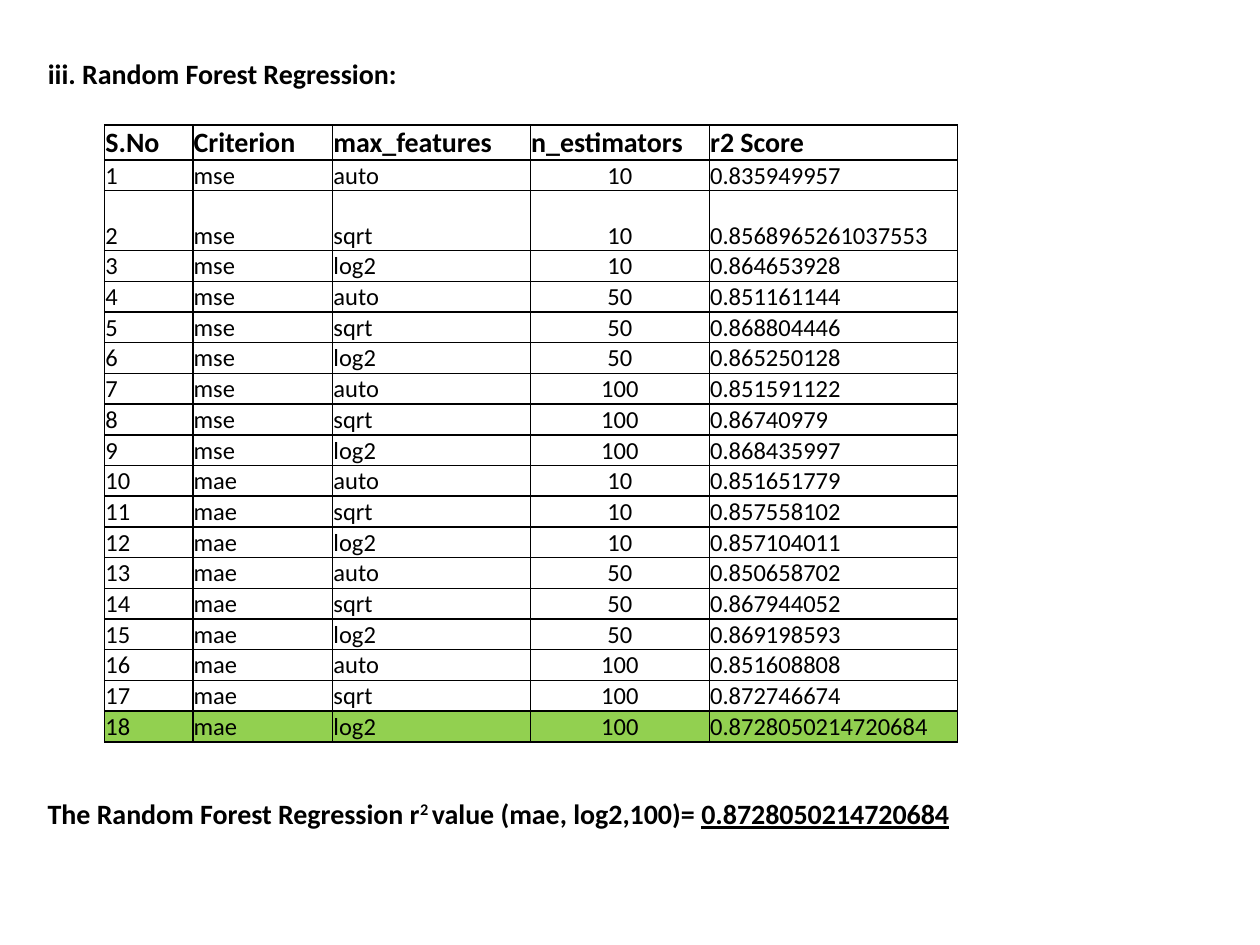
from itertools import product

from lxml.etree import SubElement
from pptx import Presentation
from pptx.dml.color import RGBColor
from pptx.enum.text import MSO_ANCHOR, MSO_AUTO_SIZE, PP_ALIGN
from pptx.oxml.ns import qn
from pptx.util import Inches, Pt

WIDTH, HEIGHT = Inches(10), Inches(7.5)
COLORS = {"ink": "000000", "best": "92D050"}
FONT = "Calibri"
HEADERS = ["S.No", "Criterion", "max_features", "n_estimators", "r2 Score"]
COLUMN_SHARES = [7, 11.1, 15.7, 14.2, 19.7]
HEADER_SHARE, ROW_SHARE, TALL_SHARE = 3.65, 3.25, 6.35
TALL_ROW = 2
CENTERED_COLUMN = HEADERS.index("n_estimators")
SCORES = [
    "0.835949957", "0.8568965261037553", "0.864653928",
    "0.851161144", "0.868804446", "0.865250128",
    "0.851591122", "0.86740979", "0.868435997",
    "0.851651779", "0.857558102", "0.857104011",
    "0.850658702", "0.867944052", "0.869198593",
    "0.851608808", "0.872746674", "0.8728050214720684",
]


def across(percent):
    return round(WIDTH * percent / 100)


def down(percent):
    return round(HEIGHT * percent / 100)


def add_run(paragraph, text, size=16, bold=True, underline=None, baseline=None):
    run = paragraph.add_run()
    run.text = text
    font = run.font
    font.name, font.size, font.bold, font.underline = FONT, Pt(size), bold, underline
    font.color.rgb = RGBColor.from_string(COLORS["ink"])
    if baseline:
        font._element.set("baseline", str(baseline * 1000))


def place_line(shape, top):
    shape.left, shape.top = across(2.8), down(top)
    shape.width, shape.height = across(95.3), down(4.9)
    frame = shape.text_frame
    frame.word_wrap = True
    frame.auto_size = MSO_AUTO_SIZE.NONE
    frame.vertical_anchor = MSO_ANCHOR.TOP
    paragraph = frame.paragraphs[0]
    paragraph.alignment = PP_ALIGN.LEFT
    return paragraph


def add_heading(slide):
    paragraph = place_line(slide.shapes.title, 5.3)
    add_run(paragraph, "iii. Random Forest Regression:")


def add_conclusion(slide):
    paragraph = place_line(slide.shapes.add_textbox(0, 0, 0, 0), 83.6)
    add_run(paragraph, "The Random Forest Regression r")
    add_run(paragraph, "2 ", baseline=30)
    add_run(paragraph, "value (mae, log2,100)= ")
    add_run(paragraph, SCORES[-1], underline=True)


def add_borders(cell):
    properties = cell._tc.get_or_add_tcPr()
    for side in ("lnL", "lnR", "lnT", "lnB"):
        line = SubElement(properties, qn(f"a:{side}"), w=str(Pt(1)))
        fill = SubElement(line, qn("a:solidFill"))
        SubElement(fill, qn("a:srgbClr"), val=COLORS["ink"])


def format_cell(cell, text, is_header, is_centered, is_best):
    cell.margin_left = cell.margin_right = cell.margin_top = Pt(0.5)
    cell.margin_bottom = 0
    cell.vertical_anchor = MSO_ANCHOR.BOTTOM
    add_borders(cell)
    if is_best:
        cell.fill.solid()
        cell.fill.fore_color.rgb = RGBColor.from_string(COLORS["best"])
    else:
        cell.fill.background()
    paragraph = cell.text_frame.paragraphs[0]
    paragraph.alignment = PP_ALIGN.CENTER if is_centered else PP_ALIGN.LEFT
    add_run(paragraph, text, size=16 if is_header else 14, bold=is_header)


def score_rows():
    settings = product(["mse", "mae"], ["10", "50", "100"], ["auto", "sqrt", "log2"])
    return [
        [str(number), criterion, features, estimators, score]
        for number, ((criterion, estimators, features), score)
        in enumerate(zip(settings, SCORES), 1)
    ]


def add_score_table(slide):
    rows = [HEADERS] + score_rows()
    heights = [HEADER_SHARE] + [ROW_SHARE] * len(SCORES)
    heights[TALL_ROW] = TALL_SHARE
    table = slide.shapes.add_table(
        len(rows), len(HEADERS), across(8.3), down(13.2),
        across(sum(COLUMN_SHARES)), down(sum(heights)),
    ).table
    table.first_row = table.horz_banding = False
    for column, share in zip(table.columns, COLUMN_SHARES):
        column.width = across(share)
    for row_index, (row, height) in enumerate(zip(rows, heights)):
        table.rows[row_index].height = down(height)
        is_header = row_index == 0
        for column_index, text in enumerate(row):
            is_centered = column_index == CENTERED_COLUMN and not is_header
            format_cell(table.cell(row_index, column_index), text,
                        is_header, is_centered, row_index == len(SCORES))


def main():
    presentation = Presentation()
    presentation.slide_width, presentation.slide_height = WIDTH, HEIGHT
    slide = presentation.slides.add_slide(presentation.slide_layouts[5])
    add_heading(slide)
    add_score_table(slide)
    add_conclusion(slide)
    presentation.save("out.pptx")


main()
